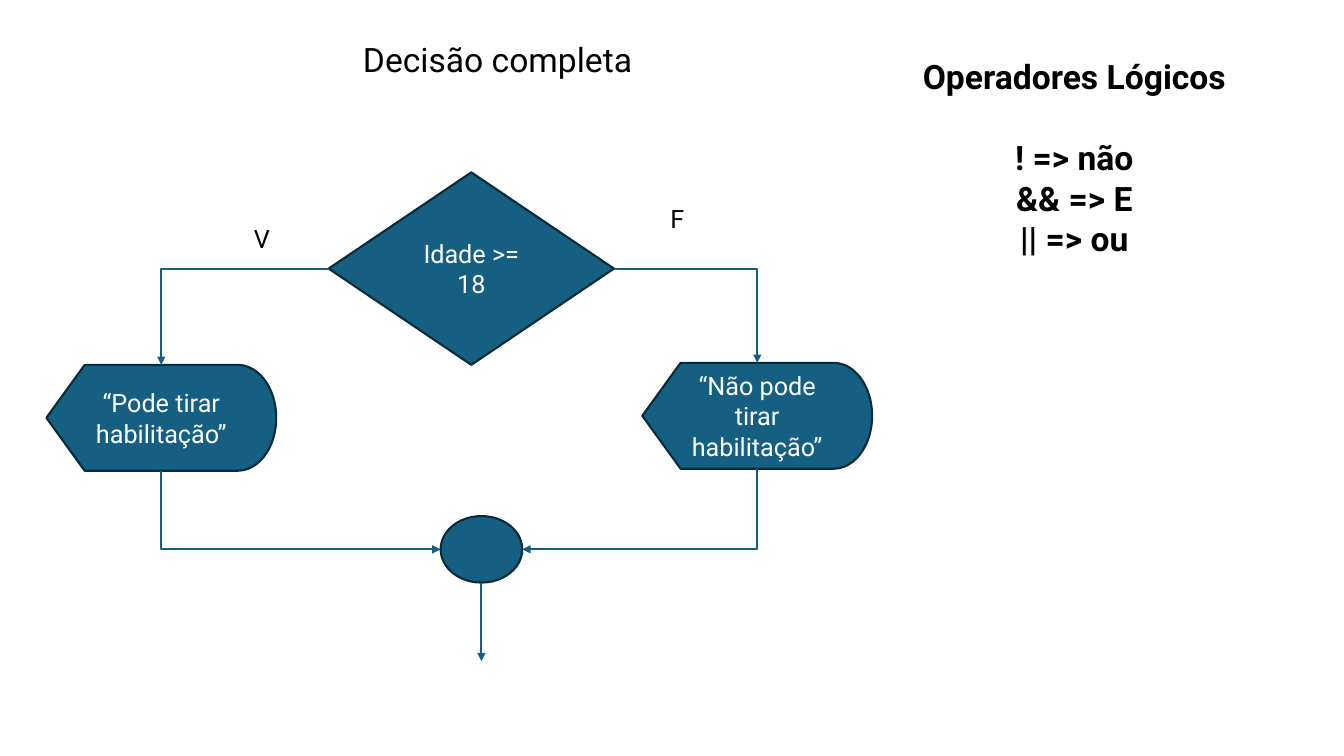
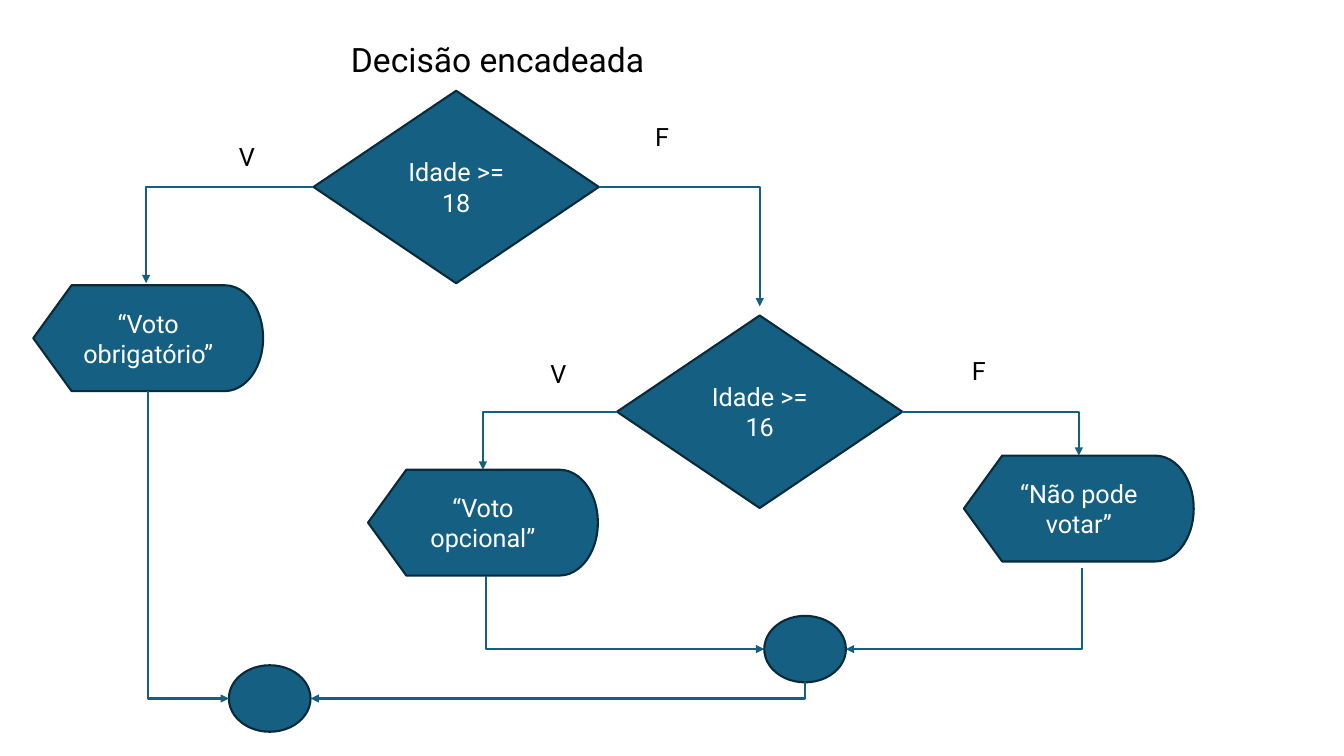
from dataclasses import dataclass

from lxml.etree import SubElement
from pptx import Presentation
from pptx.dml.color import RGBColor
from pptx.enum.shapes import MSO_CONNECTOR, MSO_SHAPE
from pptx.enum.text import MSO_ANCHOR, PP_ALIGN
from pptx.oxml.ns import qn
from pptx.util import Inches, Pt

# Shared style
BLUE = RGBColor(0x15, 0x60, 0x82)
NAVY = RGBColor(0x09, 0x2A, 0x39)
BLACK = RGBColor(0x00, 0x00, 0x00)
WHITE = RGBColor(0xFF, 0xFF, 0xFF)
FONT = "Roboto"
BODY_SIZE, TITLE_SIZE = 18, 24
LINE_WIDTH = Pt(1.5)

# Grid of one-inch cells; sizes are columns by rows
CELL = Inches(1)
SLIDE_SIZE = (13.33, 7.5)
DECISION_SIZE = (2.83, 1.91)
DISPLAY_SIZE = (2.28, 1.05)
JOIN_SIZE = (0.81, 0.66)
LABEL_SIZE = (0.35, 0.4)


def shift(point, columns, rows):
    return point[0] + columns, point[1] + rows


@dataclass
class Box:
    left: float
    top: float
    width: float
    height: float

    def inside(self, columns, rows, size):
        return Box(self.left + columns, self.top + rows, *size)

    def at(self, across, down):
        """Point at the given shares of the width and height."""
        return self.left + across * self.width, self.top + down * self.height

    def lengths(self):
        return [round(value * CELL) for value in
                (self.left, self.top, self.width, self.height)]

    @property
    def west(self):
        return self.at(0, 0.5)

    @property
    def east(self):
        return self.at(1, 0.5)

    @property
    def north(self):
        return self.at(0.5, 0)

    @property
    def south(self):
        return self.at(0.5, 1)


TITLE_BOX = Box(1.78, 0.38, 6.31, 0.76)


def style_paragraph(paragraph, size, color, align=PP_ALIGN.CENTER, bold=False):
    paragraph.alignment = align
    for run in paragraph.runs:
        run.font.name = FONT
        run.font.size = Pt(size)
        run.font.bold = bold
        run.font.color.rgb = color


def add_titled_slide(presentation, text):
    slide = presentation.slides.add_slide(presentation.slide_layouts[5])
    title = slide.shapes.title
    title.left, title.top, title.width, title.height = TITLE_BOX.lengths()
    title.text_frame.text = text
    title.text_frame.vertical_anchor = MSO_ANCHOR.TOP
    paragraph = title.text_frame.paragraphs[0]
    paragraph.line_spacing = 0.9
    style_paragraph(paragraph, TITLE_SIZE, BLACK)
    return slide


def add_symbol(slide, kind, box, text=""):
    shape = slide.shapes.add_shape(kind, *box.lengths())
    shape.shadow.inherit = False
    shape.fill.solid()
    shape.fill.fore_color.rgb = BLUE
    shape.line.color.rgb = NAVY
    shape.line.width = LINE_WIDTH
    if text:
        shape.text_frame.text = text
        shape.text_frame.word_wrap = True
        shape.text_frame.vertical_anchor = MSO_ANCHOR.MIDDLE
        style_paragraph(shape.text_frame.paragraphs[0], BODY_SIZE, WHITE)
    return box


def add_display(slide, box, text):
    return add_symbol(slide, MSO_SHAPE.FLOWCHART_DISPLAY, box, text)


def add_label(slide, point, text):
    label = slide.shapes.add_textbox(*Box(*point, *LABEL_SIZE).lengths())
    label.text_frame.word_wrap = False
    label.text_frame.text = text
    style_paragraph(label.text_frame.paragraphs[0], BODY_SIZE, BLACK, PP_ALIGN.LEFT)


def add_arrow(slide, kind, start, end):
    ends = [round(value * CELL) for value in (*start, *end)]
    connector = slide.shapes.add_connector(kind, *ends)
    connector.line.color.rgb = BLUE
    connector.line.width = LINE_WIDTH
    SubElement(connector.line._get_or_add_ln(), qn("a:tailEnd"), type="triangle")
    properties = connector.element.spPr
    SubElement(properties, qn("a:effectLst"))
    if kind == MSO_CONNECTOR.ELBOW:
        properties.find(qn("a:prstGeom")).set("prst", "bentConnector2")
    return connector


def add_branch_arrow(slide, start, end):
    """Goes sideways, then down."""
    add_arrow(slide, MSO_CONNECTOR.ELBOW, start, end)


def add_return_arrow(slide, start, end):
    """Goes down, then sideways: a branch arrow turned by a quarter."""
    center = (start[0] + end[0]) / 2, (start[1] + end[1]) / 2
    half_width = (end[1] - start[1]) / 2
    half_height = abs(end[0] - start[0]) / 2
    to_right = end[0] > start[0]
    if to_right:
        half_width = -half_width
    connector = add_arrow(slide, MSO_CONNECTOR.ELBOW,
                          shift(center, -half_width, -half_height),
                          shift(center, half_width, half_height))
    degrees = 270 if to_right else 90
    connector.element.spPr.find(qn("a:xfrm")).set("rot", str(degrees * 60000))


def add_decision(slide, box, question, true_end, false_end,
                 true_label=(-0.84, -0.5), false_label=(0.46, -0.7)):
    """Diamond with its two labelled branches."""
    add_symbol(slide, MSO_SHAPE.FLOWCHART_DECISION, box, question)
    for text, corner, end, offset in (("V", box.west, true_end, true_label),
                                      ("F", box.east, false_end, false_label)):
        add_branch_arrow(slide, corner, end)
        add_label(slide, shift(corner, *offset), text)


def add_join(slide, box, left_start, right_start):
    """Circle where two branches meet."""
    add_symbol(slide, MSO_SHAPE.OVAL, box)
    add_return_arrow(slide, left_start, box.west)
    add_return_arrow(slide, right_start, box.east)


def add_operators(slide, box):
    text_box = slide.shapes.add_textbox(*box.lengths())
    frame = text_box.text_frame
    frame.word_wrap = True
    frame.text = "Operadores Lógicos\n! => não\n&& => E\n|| => ou"
    for paragraph in frame.paragraphs:
        style_paragraph(paragraph, TITLE_SIZE, BLACK, bold=True)
    frame.paragraphs[1].space_before = Pt(29)


def add_complete_flow(slide, region):
    allowed = add_display(slide, region.inside(0, 1.91, DISPLAY_SIZE),
                          "“Pode tirar habilitação”")
    denied = add_display(slide, region.inside(5.91, 1.89, DISPLAY_SIZE),
                         "“Não pode tirar habilitação”")
    add_decision(slide, region.inside(2.8, 0, DECISION_SIZE), "Idade >= 18",
                 allowed.north, denied.north)
    join = region.inside(3.91, 3.41, JOIN_SIZE)
    add_join(slide, join, allowed.south, denied.south)
    add_arrow(slide, MSO_CONNECTOR.STRAIGHT, join.south, shift(join.south, 0, 0.78))


def add_nested_flow(slide, region):
    # Messages
    mandatory = add_display(slide, region.inside(0, 1.93, DISPLAY_SIZE),
                            "“Voto obrigatório”")
    optional = add_display(slide, region.inside(3.32, 3.76, DISPLAY_SIZE),
                           "“Voto opcional”")
    denied = add_display(slide, region.inside(9.23, 3.62, DISPLAY_SIZE),
                         "“Não pode votar”")
    # Decisions
    second_question = region.inside(5.79, 2.23, DECISION_SIZE)
    add_decision(slide, region.inside(2.78, 0, DECISION_SIZE), "Idade >= 18",
                 shift(mandatory.north, -0.02, -0.02),
                 shift(second_question.north, 0, -0.09))
    add_decision(slide, second_question, "Idade >= 16",
                 optional.north, denied.north, (-0.76, -0.58), (0.59, -0.61))
    # Joins
    inner_join = region.inside(7.25, 5.21, JOIN_SIZE)
    add_join(slide, inner_join, shift(optional.south, 0.03, 0),
             shift(denied.south, 0.03, 0.07))
    add_join(slide, region.inside(1.94, 5.7, JOIN_SIZE),
             mandatory.south, inner_join.south)


def main():
    presentation = Presentation()
    presentation.slide_width, presentation.slide_height = (
        round(length * CELL) for length in SLIDE_SIZE)

    complete = add_titled_slide(presentation, "Decisão completa")
    add_complete_flow(complete, Box(0.46, 1.71, 8.19, 4.85))
    add_operators(complete, Box(8.65, 0.51, 4.01, 2.12))

    nested = add_titled_slide(presentation, "Decisão encadeada")
    add_nested_flow(nested, Box(0.33, 0.9, 11.51, 6.36))

    presentation.save("out.pptx")


if __name__ == "__main__":
    main()
